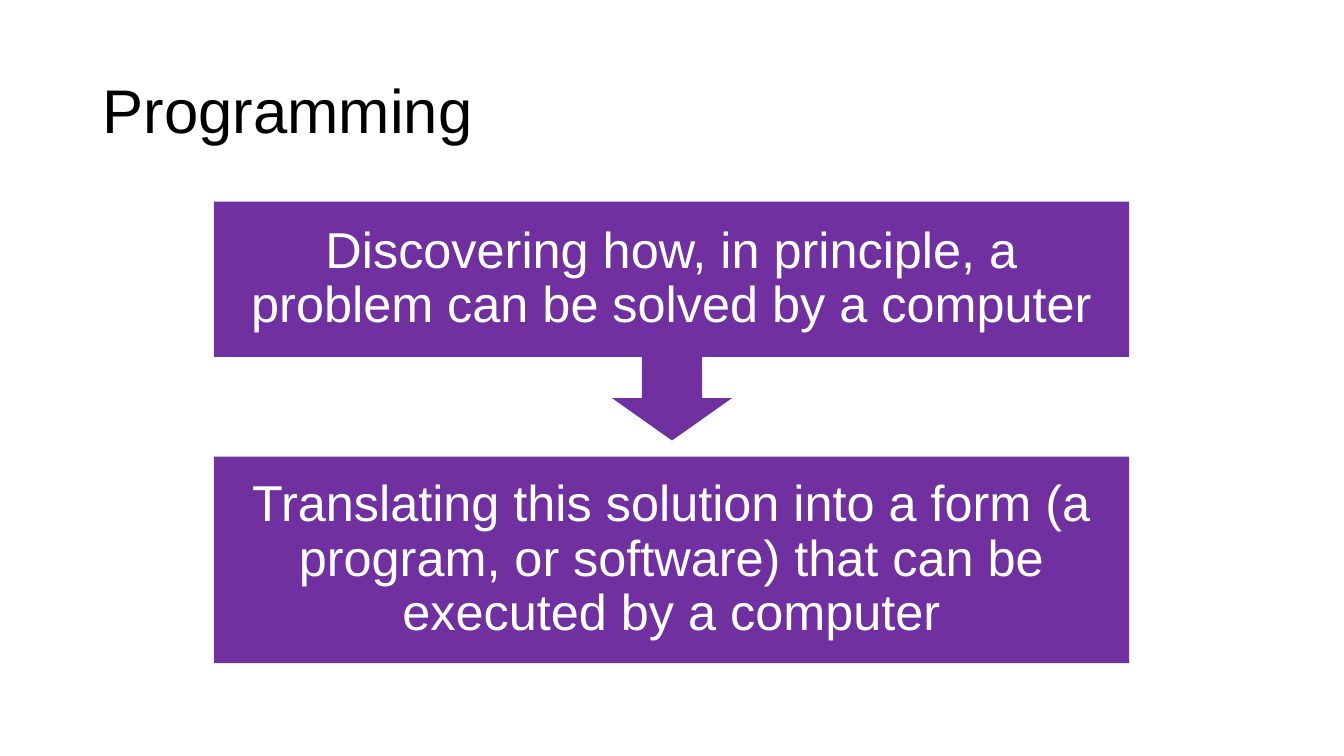
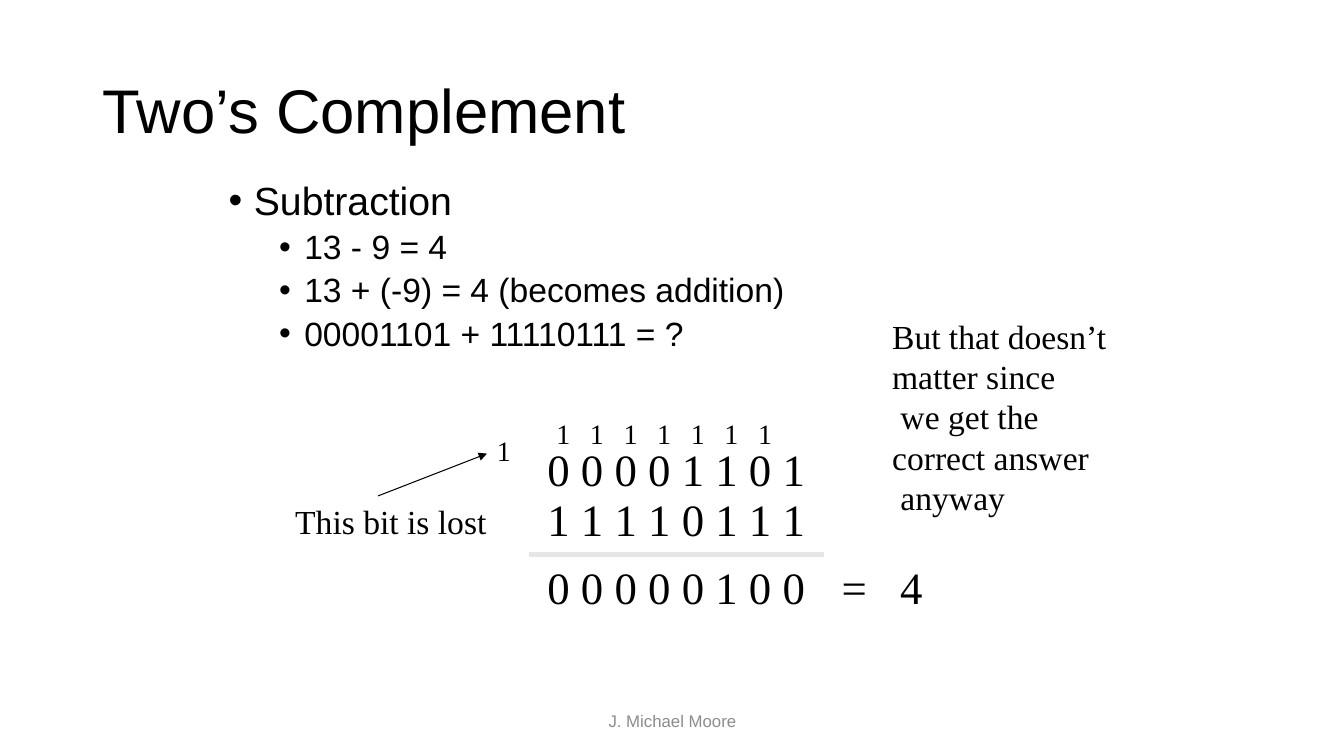
"""Two lecture slides on programming and two's complement."""
from dataclasses import dataclass

from lxml.etree import SubElement
from pptx import Presentation
from pptx.dml.color import RGBColor as Color
from pptx.enum.shapes import MSO_CONNECTOR as Connector, MSO_SHAPE as Shape
from pptx.enum.text import MSO_ANCHOR as Anchor, MSO_AUTO_SIZE as AutoSize, PP_ALIGN as Align
from pptx.oxml.ns import qn
from pptx.util import Inches, Pt


@dataclass(frozen=True)
class Theme:
    """Colours, fonts and type sizes shared by the slides."""
    ink: str = "000000"
    paper: str = "FFFFFF"
    accent: str = "7030A0"
    muted: str = "8C8C8C"
    rule: str = "E7E6E6"
    sans: str = "Arial"
    serif: str = "Times New Roman"
    title: int = 44
    step: int = 36
    digit: int = 32
    bullet: int = 28
    note: int = 24
    carry: int = 20
    footer: int = 12


THEME = Theme()


def place(*lengths):
    """Turn a row of inch values into lengths."""
    return [Inches(length) for length in lengths]


def write(para, text, size, font=THEME.sans, color=THEME.ink):
    """Add one styled run to a paragraph."""
    span = para.add_run()
    span.text = text
    span.font.size = Pt(size)
    span.font.name = font
    span.font.color.rgb = Color.from_string(color)


def paragraphs(frame, count):
    """Return the given number of paragraphs of an empty frame."""
    return [frame.paragraphs[0]] + [frame.add_paragraph() for _ in range(count - 1)]


def add_text(page, at, text, size, color=THEME.ink, align=Align.LEFT, spacing=None):
    """Add a wrapped line of sans text centred vertically in its box."""
    frame = page.shapes.add_textbox(*place(*at)).text_frame
    frame.word_wrap = True
    frame.vertical_anchor = Anchor.MIDDLE
    para = frame.paragraphs[0]
    para.alignment = align
    para.line_spacing = spacing
    write(para, text, size, color=color)


def add_title(page, text):
    """Add the slide title."""
    add_text(page, (0.92, 0.4, 11.5, 1.45), text, THEME.title, spacing=0.9)


def add_footer(page, text):
    """Add the centred footer."""
    add_text(page, (4.42, 6.95, 4.5, 0.4), text, THEME.footer, THEME.muted, Align.CENTER)


def add_solid(page, kind, at):
    """Add a flat accent shape without outline."""
    shape = page.shapes.add_shape(kind, *place(*at))
    shape.shadow.inherit = False
    shape.fill.solid()
    shape.fill.fore_color.rgb = Color.from_string(THEME.accent)
    shape.line.fill.background()
    return shape


def add_step(page, top, height, text):
    """Add one step of the process."""
    frame = add_solid(page, Shape.RECTANGLE, (2.12, top, 9.08, height)).text_frame
    frame.word_wrap = True
    frame.vertical_anchor = Anchor.MIDDLE
    frame.margin_left = frame.margin_right = Inches(0.28)
    frame.margin_top = frame.margin_bottom = Inches(0.28)
    para = frame.paragraphs[0]
    para.alignment = Align.CENTER
    para.line_spacing = 0.9
    write(para, text, THEME.step, color=THEME.paper)


def add_bullets(page, at, items):
    """Add a bulleted list of (level, text) items."""
    frame = page.shapes.add_textbox(*place(*at)).text_frame
    frame.word_wrap = True
    for para, (level, text) in zip(paragraphs(frame, len(items)), items):
        para.level = level
        para.line_spacing = 0.9
        para.space_before = Pt(5 if level else 10)
        props = para._p.get_or_add_pPr()
        props.set("marL", str(Inches(0.25 + level * 0.5)))
        props.set("indent", str(Inches(-0.25)))
        SubElement(props, qn("a:buFont"), typeface=THEME.sans)
        SubElement(props, qn("a:buChar"), char="•")
        write(para, text, THEME.note if level else THEME.bullet)


def add_label(page, at, lines, size):
    """Add unwrapped serif lines in a box that fits them."""
    frame = page.shapes.add_textbox(*place(*at)).text_frame
    frame.word_wrap = False
    frame.auto_size = AutoSize.SHAPE_TO_FIT_TEXT
    frame.vertical_anchor = Anchor.MIDDLE
    for para, line in zip(paragraphs(frame, len(lines)), lines):
        write(para, line, size, THEME.serif)


def add_digit(page, left, top, digit):
    """Add one large digit or sign."""
    add_label(page, (left, top, 0.42, 0.63), [digit], THEME.digit)


def add_carry(page, left, top):
    """Add one small carried bit."""
    add_label(page, (left, top, 0.34, 0.43), ["1"], THEME.carry)


def add_line(page, ends, color, width, arrow=False):
    """Add a straight line, with an arrowhead at its end if asked."""
    line = page.shapes.add_connector(Connector.STRAIGHT, *place(*ends))
    line.line.color.rgb = Color.from_string(color)
    line.line.width = Pt(width)
    props = line._element.spPr
    if arrow:
        SubElement(props.find(qn("a:ln")), qn("a:tailEnd"), type="triangle")
    SubElement(props, qn("a:effectLst"))


def build_programming(page):
    """Build the slide with the two steps of programming."""
    add_title(page, "Programming")
    add_step(page, 4.53, 2.05, "Translating this solution into a form (a program, "
                               "or software) that can be executed by a computer")
    add_solid(page, Shape.DOWN_ARROW, (6.07, 3.53, 1.19, 0.84))
    add_step(page, 2, 1.54, "Discovering how, in principle, a problem can be "
                            "solved by a computer")


def build_complement(page):
    """Build the slide with the worked subtraction."""
    add_footer(page, "J. Michael Moore")
    add_title(page, "Two’s Complement")
    add_bullets(page, (2.17, 1.75, 9, 2.02), [
        (0, "Subtraction"),
        (1, "13 - 9 = 4"),
        (1, "13 + (-9) = 4 (becomes addition)"),
        (1, "00001101 + 11110111 = ?"),
    ])
    for column in range(7):
        add_carry(page, 5.42 + column / 3, 4.08)
    for top, bits in ((4.33, "00001101"), (4.83, "11110111"), (5.5, "00000100")):
        for column, bit in enumerate(bits):
            add_digit(page, 5.33 + column / 3, top, bit)
    add_line(page, (5.25, 5.5, 8.17, 5.5), THEME.rule, 3)
    add_digit(page, 8.25, 5.5, "=")
    add_digit(page, 8.83, 5.5, "4")
    add_carry(page, 4.83, 4.25)
    add_label(page, (2.83, 4.92, 2.1, 0.5), ["This bit is lost"], THEME.note)
    add_line(page, (3.75, 4.92, 4.83, 4.5), THEME.ink, 0.75, arrow=True)
    add_label(page, (8.75, 3.07, 2.43, 2.12), [
        "But that doesn’t", "matter since", " we get the", "correct answer", " anyway",
    ], THEME.note)


def main():
    """Build and save the deck."""
    deck = Presentation()
    deck.slide_width, deck.slide_height = place(13.33, 7.5)
    for build in (build_programming, build_complement):
        build(deck.slides.add_slide(deck.slide_layouts[6]))
    deck.save("out.pptx")


if __name__ == "__main__":
    main()
